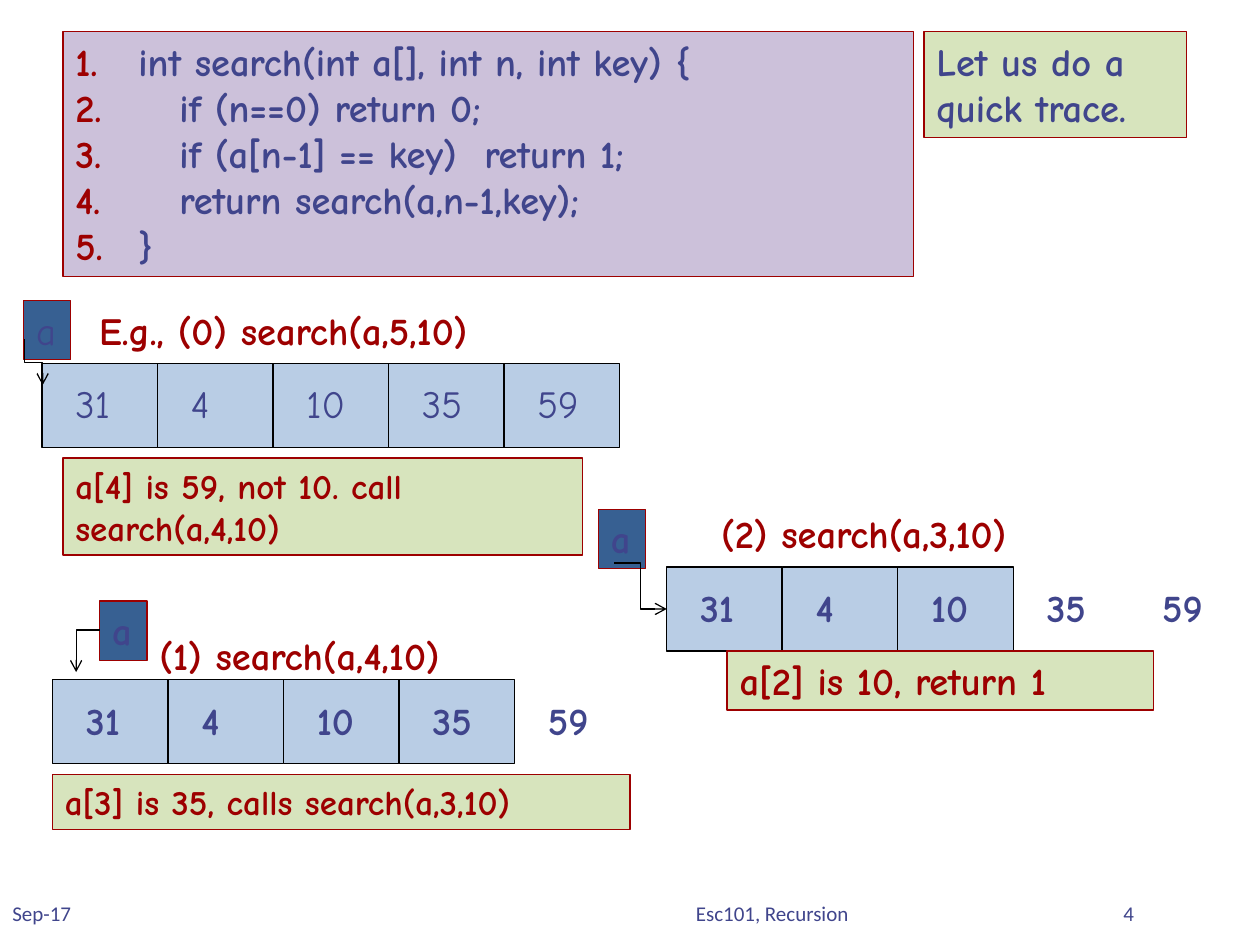
from lxml import etree
from pptx import Presentation
from pptx import util as u
from pptx.dml.color import RGBColor
from pptx.enum import shapes, text
from pptx.oxml import ns

PX = 9525
COLORS = {
    "ink": "40458C", "red": "9D0000", "black": "000000", "lilac": "CCC1DA",
    "green": "D7E4BD", "sky": "B9CDE5", "navy": "376092",
}
CELL_W, CELL_H, LINE_H = 88, 64, 45
VALUES = ["31", "4", "10", "35", "59"]
CODE = [
    "int search(int a[], int n, int key) {",
    "   if (n==0) return 0;",
    "   if (a[n-1] == key)  return 1;",
    "   return search(a,n-1,key);",
    "}",
]


def px(*lengths):
    return [u.Emu(length * PX) for length in lengths]


def rgb(name):
    return RGBColor.from_string(COLORS[name])


def add_child(parent, tag, **attributes):
    return etree.SubElement(parent, ns.qn(tag), attributes)


def number_paragraph(paragraph):
    properties = paragraph._p.get_or_add_pPr()
    properties.set("marL", str(48 * PX))
    properties.set("indent", str(-48 * PX))
    add_child(add_child(properties, "a:buClr"), "a:srgbClr", val=COLORS["red"])
    add_child(properties, "a:buFont", typeface="+mj-lt")
    add_child(properties, "a:buAutoNum", type="arabicPeriod")


def write_text(frame, lines, size=22, color="ink", bold=True, font="Comic Neue",
               align=text.PP_ALIGN.LEFT, anchor=text.MSO_ANCHOR.TOP, numbered=False,
               wrap=True):
    frame.word_wrap = wrap
    frame.vertical_anchor = anchor
    for index, line in enumerate(lines):
        paragraph = frame.add_paragraph() if index else frame.paragraphs[0]
        if numbered:
            number_paragraph(paragraph)
        paragraph.alignment = align
        run = paragraph.add_run()
        run.text = line
        run.font.size = u.Pt(size)
        run.font.name = font
        run.font.bold = bold
        run.font.color.rgb = rgb(color)


class TraceSlide:
    line_width = u.Pt(0.75)

    def __init__(self, presentation):
        self.slide = presentation.slides.add_slide(presentation.slide_layouts[6])

    def box(self, frame, fill, line="red", lines=(), **style):
        box = self.slide.shapes.add_shape(shapes.MSO_SHAPE.RECTANGLE, *px(*frame))
        box.shadow.inherit = False
        box.fill.solid()
        box.fill.fore_color.rgb = rgb(fill)
        box.line.color.rgb = rgb(line)
        box.line.width = self.line_width
        if lines:
            write_text(box.text_frame, lines, **style)

    def label(self, frame, line, **style):
        label = self.slide.shapes.add_textbox(*px(*frame))
        write_text(label.text_frame, [line], **style)

    def array(self, left, top, length, values, bold=True):
        for index in range(length):
            self.box((left + index * CELL_W, top, CELL_W, CELL_H), "sky", "black")
        for index, value in enumerate(values):
            self.label((left + 16 + index * CELL_W, top + 8, 56, LINE_H), value, bold=bold)

    def pointer(self, left, top, bold=True):
        self.box((left, top, 36, LINE_H), "navy", lines=["a"], bold=bold, wrap=False)

    def elbow(self, ends, rotation=0, preset="bentConnector3"):
        elbow = self.slide.shapes.add_connector(shapes.MSO_CONNECTOR.ELBOW, *px(*ends))
        elbow.line.color.rgb = rgb("black")
        elbow.line.width = self.line_width
        properties = elbow._element.spPr
        properties.find(ns.qn("a:xfrm")).set("rot", str(rotation * 60000))
        properties.find(ns.qn("a:prstGeom")).set("prst", preset)
        add_child(properties.find(ns.qn("a:ln")), "a:tailEnd", type="arrow")
        add_child(properties, "a:effectLst")

    def footer(self, left, width, line, align):
        self.label((left, 672, width, 48), line, size=12, bold=False, font="Calibri",
                   align=align, anchor=text.MSO_ANCHOR.MIDDLE)


def main():
    presentation = Presentation()
    presentation.slide_width, presentation.slide_height = px(960, 720)
    trace = TraceSlide(presentation)

    trace.box((48, 24, 648, 187), "lilac", lines=CODE, numbered=True)
    trace.box((704, 24, 200, 81), "green", lines=["Let us do a quick trace."])

    trace.array(32, 277, 5, VALUES, bold=False)
    trace.pointer(18, 229, bold=False)
    trace.elbow((43, 269, 8, 283), rotation=270)
    trace.label((66, 229, 369, LINE_H), "E.g., (0) search(a,5,10)", color="red")
    trace.box((48, 349, 396, 74), "green",
              lines=["a[4] is 59, not 10. call search(a,4,10)"], size=20, color="red")

    trace.pointer(76, 458)
    trace.array(40, 518, 4, VALUES)
    trace.elbow((58, 512, 76, 480), rotation=180, preset="bentConnector2")
    trace.label((112, 477, 283, LINE_H), "(1) search(a,4,10)", color="red")
    trace.box((40, 590, 440, 42), "green",
              lines=["a[3] is 35, calls search(a,3,10)"], size=20, color="red")

    trace.array(508, 432, 3, VALUES)
    trace.pointer(456, 388)
    trace.elbow((468, 429, 508, 464))
    trace.label((540, 384, 283, LINE_H), "(2) search(a,3,10)", color="red")
    trace.box((554, 496, 325, LINE_H), "green", lines=["a[2] is 10, return 1"], color="red")

    trace.footer(0, 200, "Sep-17", text.PP_ALIGN.LEFT)
    trace.footer(309, 347, "Esc101, Recursion", text.PP_ALIGN.RIGHT)
    trace.footer(760, 200, "4", text.PP_ALIGN.CENTER)

    presentation.save("out.pptx")


if __name__ == "__main__":
    main()
